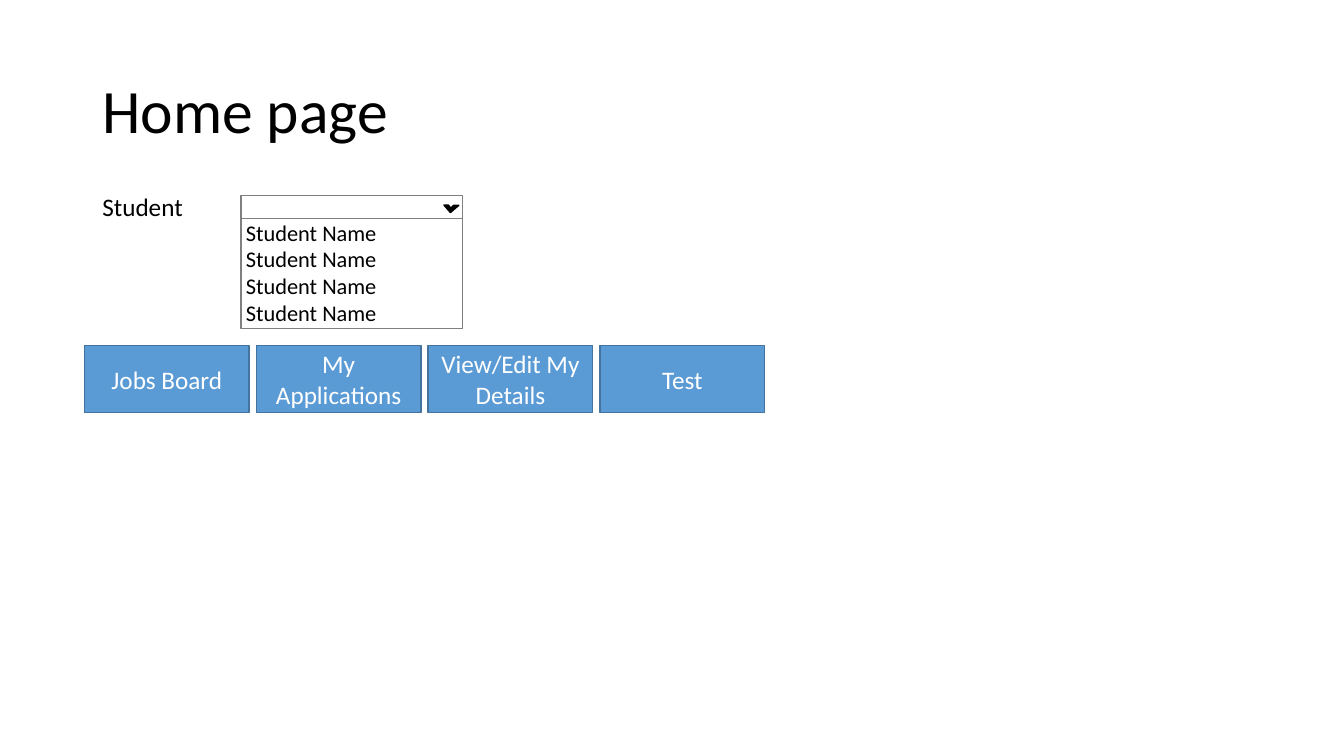
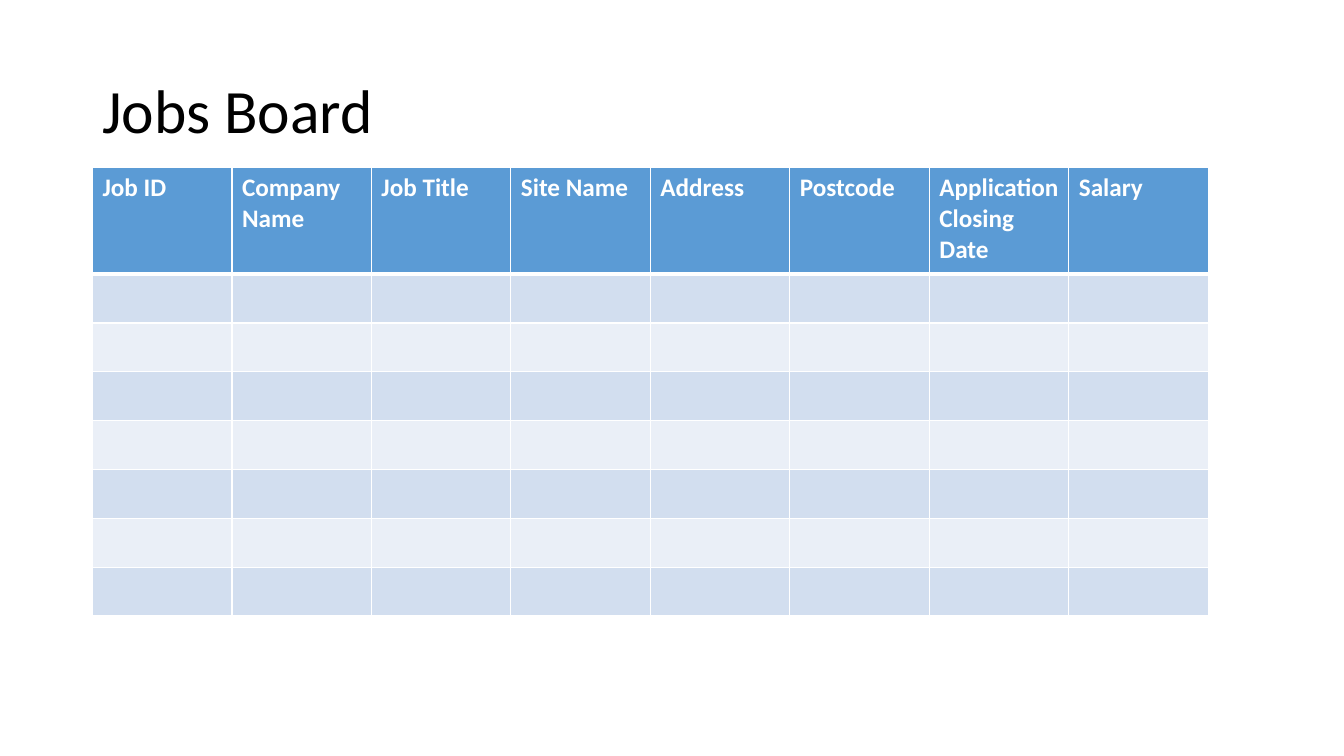
from lxml import etree
from pptx import Presentation, util as u
from pptx.dml.color import RGBColor
from pptx.enum import shapes, text
from pptx.oxml.ns import qn

COLORS = {
    "white": "FFFFFF", "black": "000000", "grey": "808080",
    "blue": "5B9BD5", "edge": "43739E",
    "band_dark": "D2DEEF", "band_light": "EAEFF7",
}
FONT = "Calibri"
TITLE_BOX = (2.33, 1.02, 29.21, 3.68)
BUTTONS = ["Jobs Board", "My Applications", "View/Edit My Details", "Test"]
HEADERS = ["Job ID", "Company Name", "Job Title", "Site Name",
           "Address", "Postcode", "Application Closing Date", "Salary"]


def rgb(name):
    return RGBColor.from_string(COLORS[name])


def set_all(target, formats):
    for name, value in formats.items():
        setattr(target, name, value)


def write(tf, lines, size, color, align=text.PP_ALIGN.LEFT, bold=False, spacing=1.0):
    """Fill a text frame with one paragraph per line."""
    for i, line in enumerate(lines):
        p = tf.add_paragraph() if i else tf.paragraphs[0]
        set_all(p, {"alignment": align, "line_spacing": spacing})
        r = p.add_run()
        r.text = line
        set_all(r.font, {"name": FONT, "size": u.Pt(size), "bold": bold})
        r.font.color.rgb = rgb(color)


def add_text(s, box, line, size, wrap, anchor, spacing=1.0):
    tf = s.shapes.add_textbox(*map(u.Cm, box)).text_frame
    set_all(tf, {"word_wrap": wrap, "vertical_anchor": anchor})
    write(tf, [line], size, "black", spacing=spacing)


def add_box(s, box, fill, line, kind=shapes.MSO_SHAPE.RECTANGLE):
    sp = s.shapes.add_shape(kind, *map(u.Cm, box))
    sp.shadow.inherit = False
    sp.fill.solid()
    sp.fill.fore_color.rgb = rgb(fill)
    sp.line.color.rgb = rgb(line)
    sp.line.width = u.Pt(1)
    return sp


def add_titled_slide(prs, title):
    s = prs.slides.add_slide(prs.slide_layouts[6])
    add_text(s, TITLE_BOX, title, 44, True, text.MSO_ANCHOR.MIDDLE, 0.9)
    return s


def add_dropdown(s, left, top, width, options):
    """Draw an open drop-down: field, arrow and list of options."""
    field_h, list_h = 0.58, 2.77
    add_box(s, (left, top, width, field_h), "white", "grey")
    arrow = add_box(s, (left + width - 0.41, top + 0.1, 0.25, 0.28),
                    "black", "black", shapes.MSO_SHAPE.HALF_FRAME)
    arrow.rotation = 229.3
    tf = add_box(s, (left, top + field_h, width, list_h), "white", "grey").text_frame
    set_all(tf, {"vertical_anchor": text.MSO_ANCHOR.TOP, "margin_left": u.Cm(0.13),
                 "margin_top": 0, "margin_bottom": 0})
    write(tf, options, 16, "black")


def add_button_row(s, left, top, labels):
    width, height, pitch = 4.15, 1.68, 4.33
    for i, label in enumerate(labels):
        sp = add_box(s, (left + i * pitch, top, width, height), "blue", "edge")
        sp.text_frame.word_wrap = True
        write(sp.text_frame, [label], 18, "white", text.PP_ALIGN.CENTER)


def style_cell(cell, fill, borders):
    """Set a cell's fill and its borders, given as side: points."""
    tc_pr = cell._tc.get_or_add_tcPr()
    for side, points in borders.items():
        ln = etree.SubElement(tc_pr, qn(f"a:ln{side}"), w=str(u.Pt(points)))
        solid = etree.SubElement(ln, qn("a:solidFill"))
        etree.SubElement(solid, qn("a:srgbClr"), val=COLORS["white"])
    cell.fill.solid()
    cell.fill.fore_color.rgb = rgb(fill)


def add_jobs_table(s, left, top, width, headers, body_rows):
    head_h, row_h = 2.69, 1.23
    box = (left, top, width, head_h + body_rows * row_h)
    table = s.shapes.add_table(body_rows + 1, len(headers), *map(u.Cm, box)).table
    for column in table.columns:
        column.width = u.Cm(width / len(headers))
    for i, row in enumerate(table.rows):
        row.height = u.Cm(row_h if i else head_h)
        fill = ("band_dark" if i % 2 else "band_light") if i else "blue"
        borders = {"L": 1, "R": 1, "T": 3 if i == 1 else 1, "B": 1 if i else 3}
        for cell in row.cells:
            style_cell(cell, fill, borders)
    for cell, header in zip(table.rows[0].cells, headers):
        write(cell.text_frame, [header], 18, "white", bold=True)


def build_home(prs):
    s = add_titled_slide(prs, "Home page")
    add_text(s, (2.33, 4.7, 2.57, 1.02), "Student", 18, False, text.MSO_ANCHOR.TOP)
    add_dropdown(s, 6.07, 4.93, 5.59, ["Student Name"] * 4)
    add_button_row(s, 2.13, 8.71, BUTTONS)


def build_jobs_board(prs):
    s = add_titled_slide(prs, "Jobs Board")
    add_jobs_table(s, 2.33, 4.22, 28.12, HEADERS, 7)


def main():
    prs = Presentation()
    set_all(prs, {"slide_width": u.Cm(33.87), "slide_height": u.Cm(19.05)})
    build_home(prs)
    build_jobs_board(prs)
    prs.save("out.pptx")


if __name__ == "__main__":
    main()
